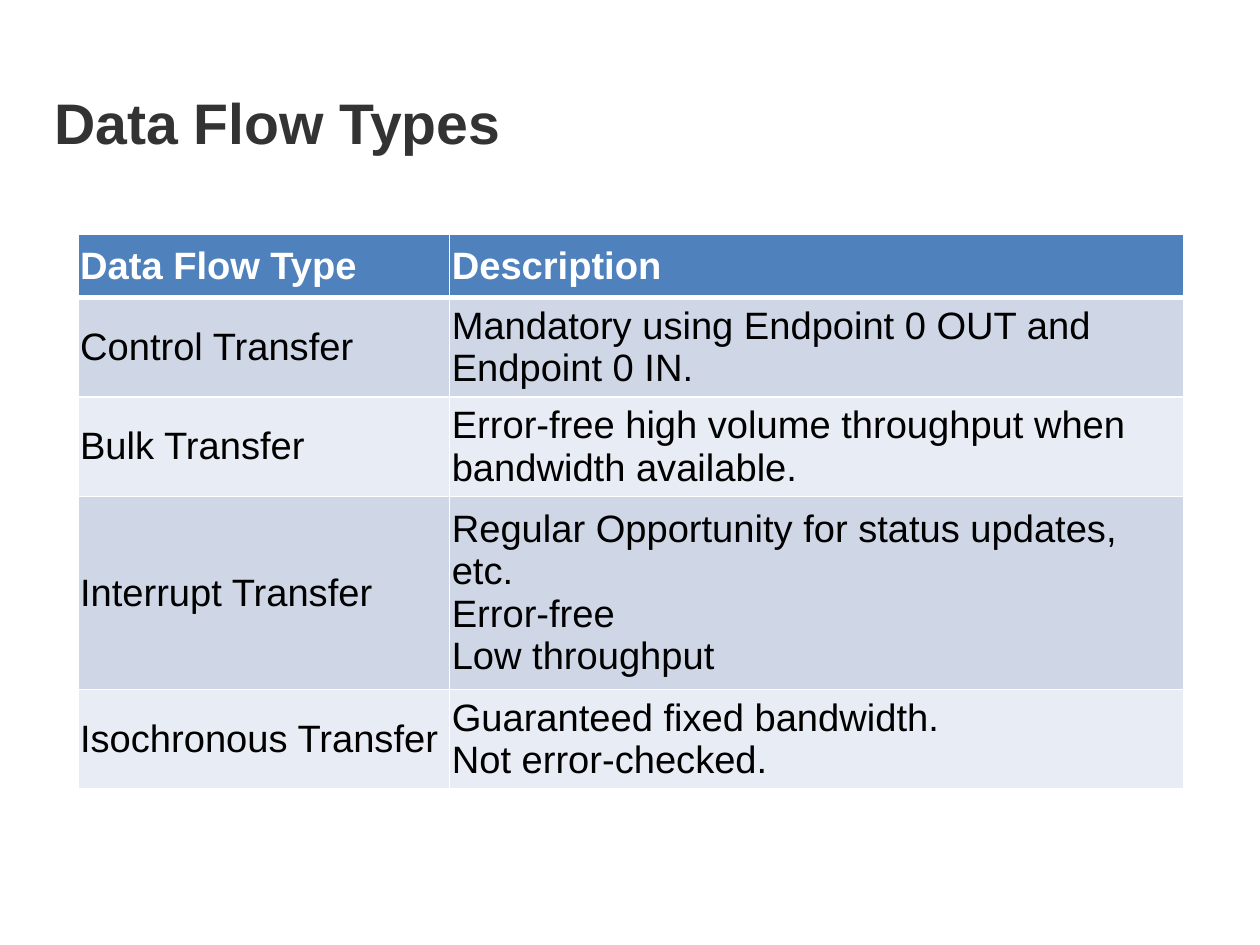
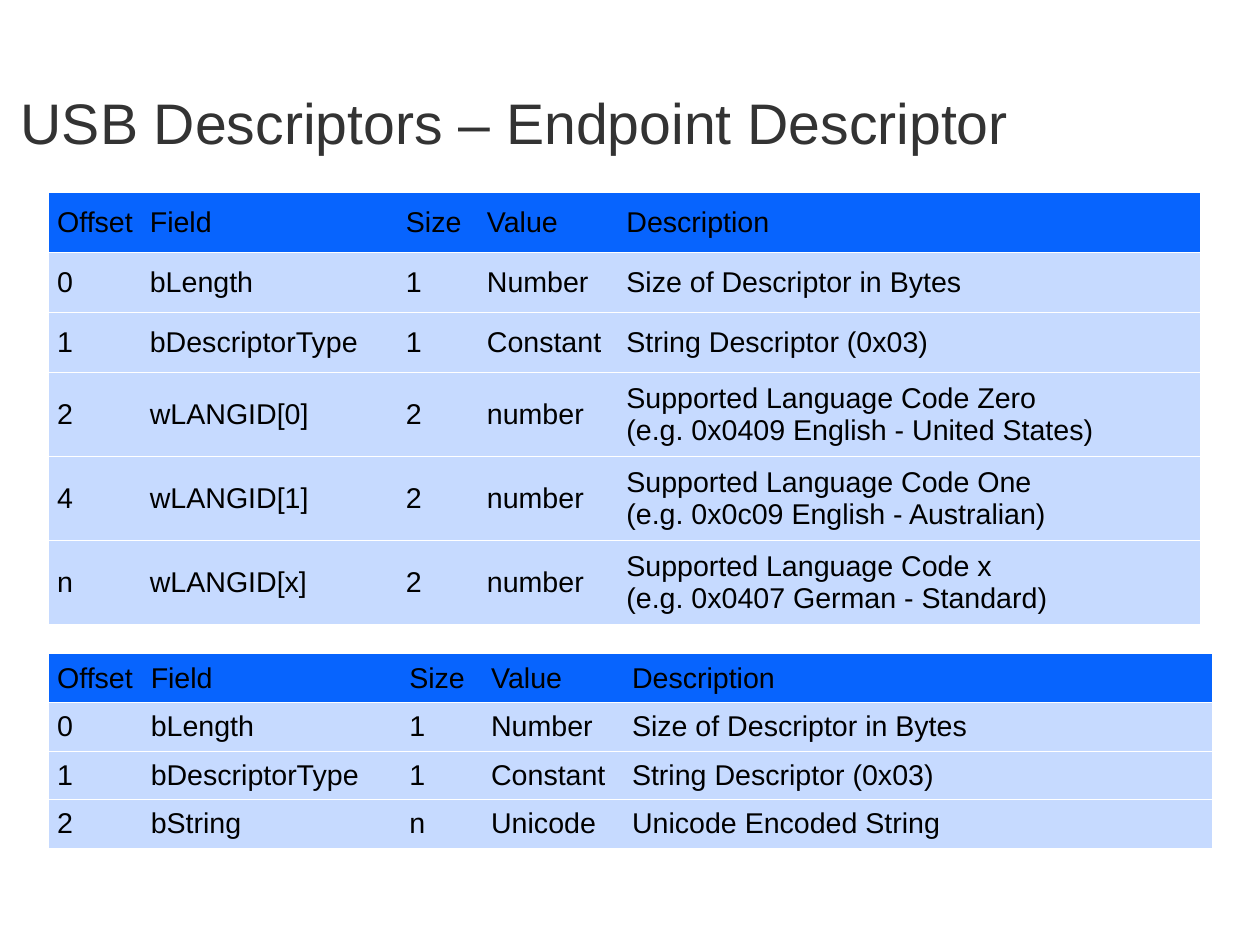
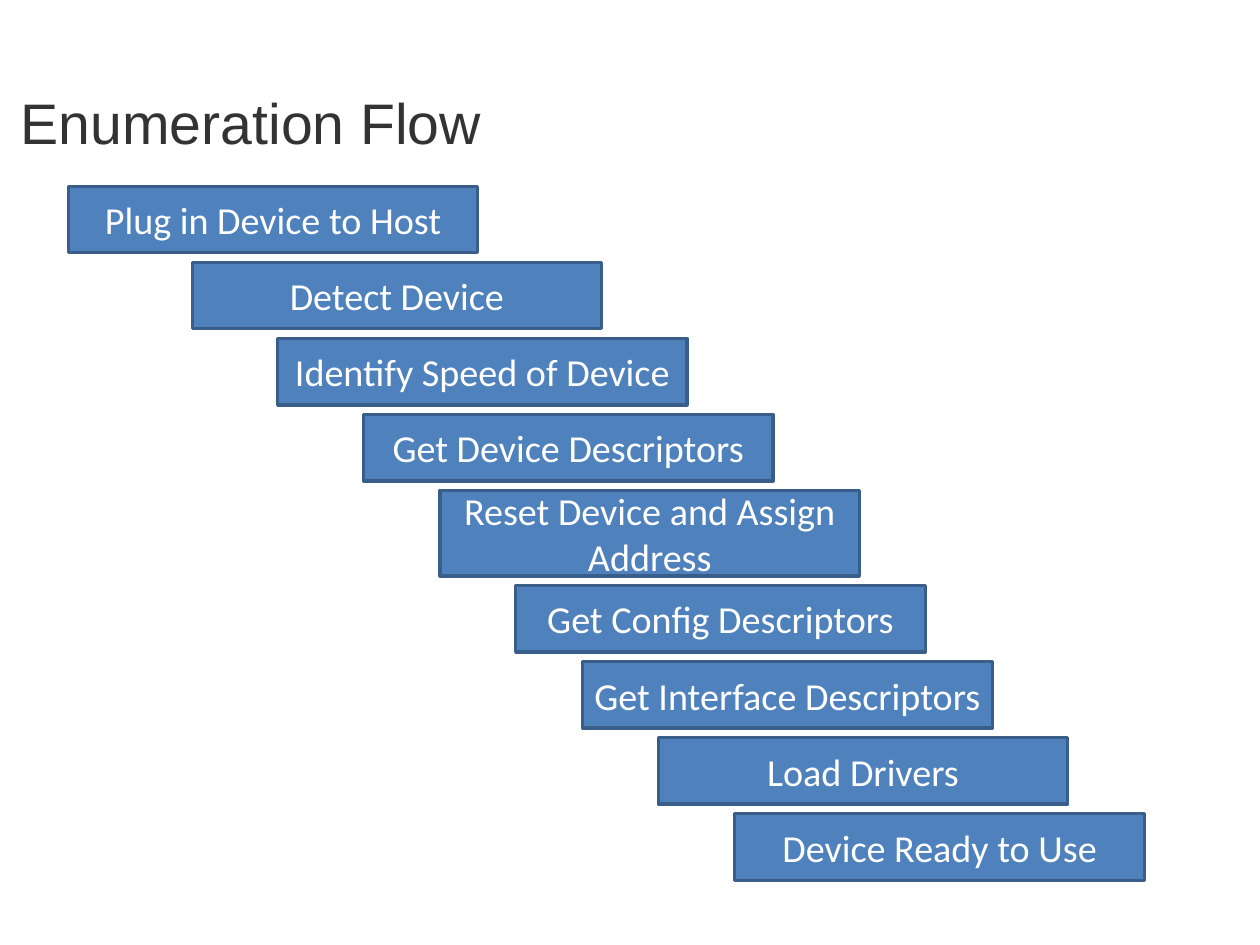
"""Build three slides on USB data flow, descriptors and enumeration."""
from dataclasses import dataclass

from lxml.etree import SubElement
from pptx import Presentation
from pptx.dml.color import RGBColor as RGB
from pptx.enum.shapes import MSO_SHAPE as SHAPE
from pptx.enum.text import MSO_ANCHOR as ANCHOR, MSO_AUTO_SIZE as AUTO, PP_ALIGN as ALIGN
from pptx.oxml.ns import qn
from pptx.util import Cm, Pt


@dataclass(frozen=True)
class Theme:
    """Colours, fonts and type sizes of the deck."""
    title: str = "333333"
    black: str = "000000"
    white: str = "FFFFFF"
    blue: str = "4F81BD"
    edge: str = "395E89"
    bands: tuple = ("CFD7E7", "E8ECF4")
    header: str = "0764FE"
    pale: tuple = ("C6DAFF",)
    font: str = "Arial"
    box_font: str = "Calibri"
    title_size: int = 36
    large: int = 24
    small: int = 18


T = Theme()

FLOW_TYPES = [
    ("Data Flow Type", "Description"),
    ("Control Transfer", "Mandatory using Endpoint 0 OUT and Endpoint 0 IN."),
    ("Bulk Transfer", "Error-free high volume throughput when bandwidth available."),
    ("Interrupt Transfer",
     "Regular Opportunity for status updates, etc.\nError-free\nLow throughput"),
    ("Isochronous Transfer", "Guaranteed fixed bandwidth.\nNot error-checked."),
]

DESCRIPTOR_HEAD = [
    ("Offset", "Field", "Size", "Value", "Description"),
    ("0", "bLength", "1", "Number", "Size of Descriptor in Bytes"),
    ("1", "bDescriptorType", "1", "Constant", "String Descriptor (0x03)"),
]

LANGUAGE_ROWS = [
    ("2", "wLANGID[0]", "2", "number",
     "Supported Language Code Zero\n(e.g. 0x0409 English - United States)"),
    ("4", "wLANGID[1]", "2", "number",
     "Supported Language Code One\n(e.g. 0x0c09 English - Australian)"),
    ("n", "wLANGID[x]", "2", "number",
     "Supported Language Code x\n(e.g. 0x0407 German - Standard)"),
]

STRING_ROWS = [("2", "bString", "n", "Unicode", "Unicode Encoded String")]

DESCRIPTOR_COLS = (2.06, 5.69, 1.8, 3.1, 12.93)

STEPS = [
    (1.52, "Plug in Device to Host"),
    (4.27, "Detect Device"),
    (6.17, "Identify Speed of Device"),
    (8.08, "Get Device Descriptors"),
    (9.78, "Reset Device and Assign Address"),
    (11.46, "Get Config Descriptors"),
    (12.95, "Get Interface Descriptors"),
    (14.63, "Load Drivers"),
    (16.33, "Device Ready to Use"),
]
TALL_STEP = "Reset Device and Assign Address"


def write(tf, text, size=T.large, font=T.font, color=T.black, bold=False, align=ALIGN.LEFT):
    """Put text in a frame, with a line break at each newline."""
    tf.word_wrap = True
    p = tf.paragraphs[0]
    p.alignment = align
    for i, line in enumerate(text.split("\n")):
        if i:
            p.add_line_break()
        r = p.add_run()
        r.text = line
        r.font.size, r.font.name, r.font.bold = Pt(size), font, bold
        r.font.color.rgb = RGB.from_string(color)


def set_insets(frame, across, down):
    """Set the margins of a cell or text frame and centre it vertically."""
    frame.margin_left = frame.margin_right = Cm(across)
    frame.margin_top = frame.margin_bottom = Cm(down)
    frame.vertical_anchor = ANCHOR.MIDDLE


def set_fill(fill, color):
    """Give a solid fill."""
    fill.solid()
    fill.fore_color.rgb = RGB.from_string(color)


def set_borders(cell, left, right, top, bottom):
    """Draw white cell borders of the given point widths; 0 means none."""
    tc_pr = cell._tc.get_or_add_tcPr()
    for side, width in zip("LRTB", (left, right, top, bottom)):
        ln = SubElement(tc_pr, qn(f"a:ln{side}"), w=str(Pt(width)))
        if width:
            solid = SubElement(ln, qn("a:solidFill"))
            SubElement(solid, qn("a:srgbClr"), val=T.white)
        else:
            SubElement(ln, qn("a:noFill"))


def add_title_slide(prs, title, left=0.46, width=25.7, bold=False):
    """Add a Title Only slide with its title placed and styled."""
    s = prs.slides.add_slide(prs.slide_layouts[5])
    sp = s.shapes.title
    sp.left, sp.top, sp.width, sp.height = Cm(left), Cm(1.8), Cm(width), Cm(1.8)
    set_insets(sp.text_frame, 0, 0)
    sp.text_frame.auto_size = AUTO.NONE
    write(sp.text_frame, title, size=T.title_size, color=T.title, bold=bold)
    return s


def add_grid(s, rows, left, top, cols, heights, header, bands, inset,
             across=0, down=0.75, header_rule=0.75, **head_format):
    """Add a table with a header row and repeating band fills."""
    size = T.large if across else T.small
    table = s.shapes.add_table(len(rows), len(cols), Cm(left), Cm(top),
                               Cm(sum(cols)), Cm(sum(heights))).table
    for column, width in zip(table.columns, cols):
        column.width = Cm(width)
    for i, (row, height, texts) in enumerate(zip(table.rows, heights, rows)):
        row.height = Cm(height)
        for cell, text in zip(row.cells, texts):
            set_insets(cell, inset, inset)
            set_borders(cell, across, across, header_rule if i == 1 else down,
                        header_rule if i == 0 else down)
            set_fill(cell.fill, bands[(i - 1) % len(bands)] if i else header)
            write(cell.text_frame, text, size=size, **({} if i else head_format))


def add_step(s, text, left, top, width, height):
    """Add one box of the enumeration staircase."""
    sp = s.shapes.add_shape(SHAPE.RECTANGLE, Cm(left), Cm(top), Cm(width), Cm(height))
    sp.shadow.inherit = False
    set_fill(sp.fill, T.blue)
    sp.line.color.rgb = RGB.from_string(T.edge)
    sp.line.width = Pt(2)
    set_insets(sp.text_frame, 0.25, 0.13)
    write(sp.text_frame, text, font=T.box_font, color=T.white, align=ALIGN.CENTER)


def add_staircase(s, top=4.14, gap=0.21):
    """Stack the enumeration steps downwards with equal gaps."""
    for left, text in STEPS:
        width, height = (9.32, 1.9) if text == TALL_STEP else (9.1, 1.48)
        add_step(s, text, left, top, width, height)
        top += height + gap


def main():
    """Build and save the deck."""
    prs = Presentation()
    prs.slide_width, prs.slide_height = Cm(28), Cm(21)

    s = add_title_slide(prs, "Data Flow Types", left=1.2, width=23.4, bold=True)
    add_grid(s, FLOW_TYPES, 1.73, 5.21, (8.26, 16.31), (1.4, 2.21, 2.21, 4.29, 2.21),
             T.blue, T.bands, 0.05, across=1, down=1, header_rule=3,
             color=T.white, bold=True)

    s = add_title_slide(prs, "USB Descriptors – Endpoint Descriptor")
    add_grid(s, DESCRIPTOR_HEAD + LANGUAGE_ROWS, 1.09, 4.28, DESCRIPTOR_COLS,
             [1.33] * 3 + [1.87] * 3, T.header, T.pale, 0.18)
    add_grid(s, DESCRIPTOR_HEAD + STRING_ROWS, 1.09, 14.53,
             [1.01 * width for width in DESCRIPTOR_COLS],
             [1.08] * 4, T.header, T.pale, 0.18)

    add_staircase(add_title_slide(prs, "Enumeration Flow"))
    prs.save("out.pptx")


if __name__ == "__main__":
    main()
